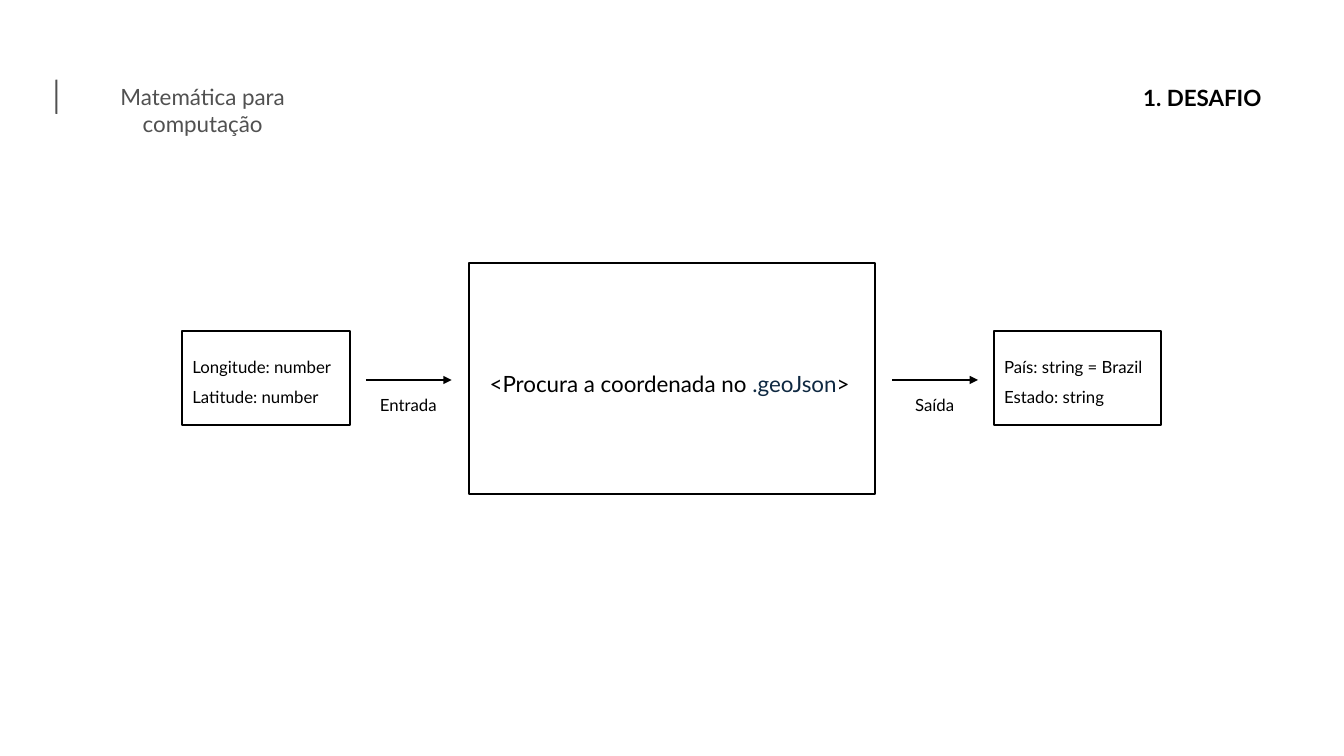
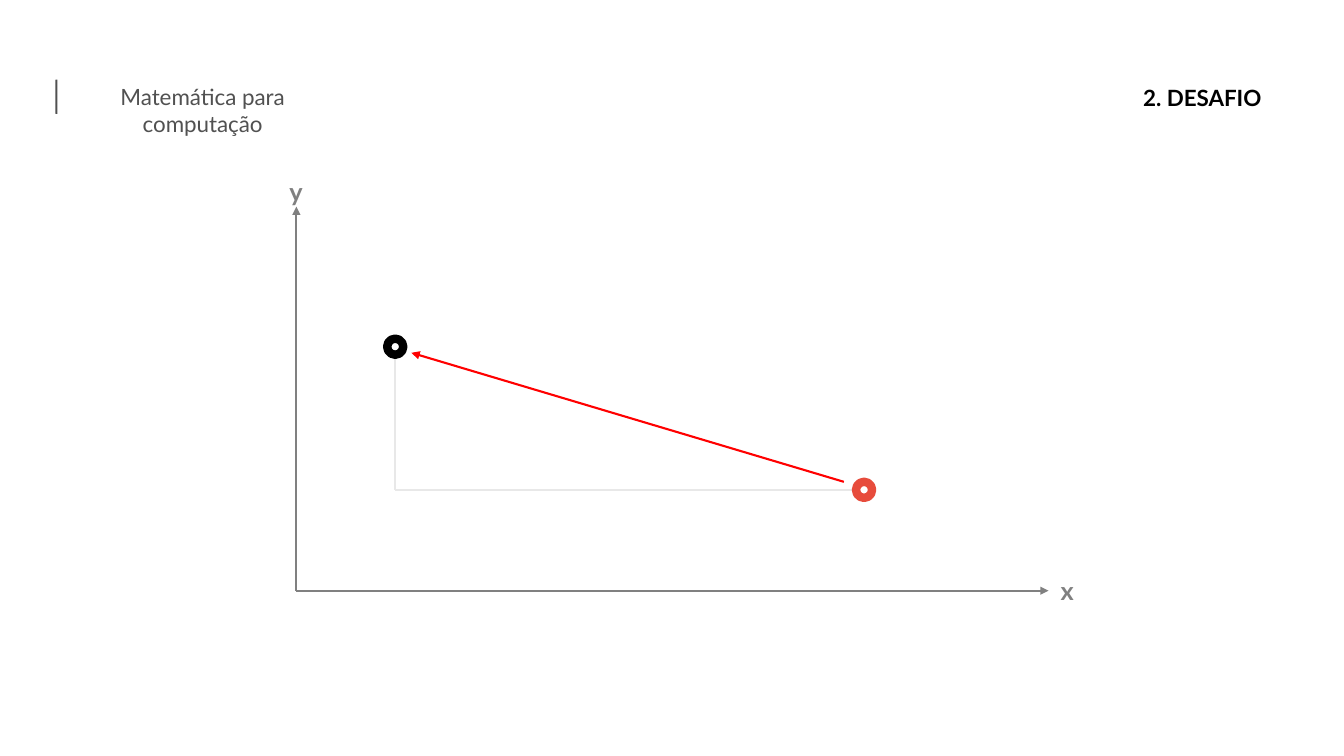
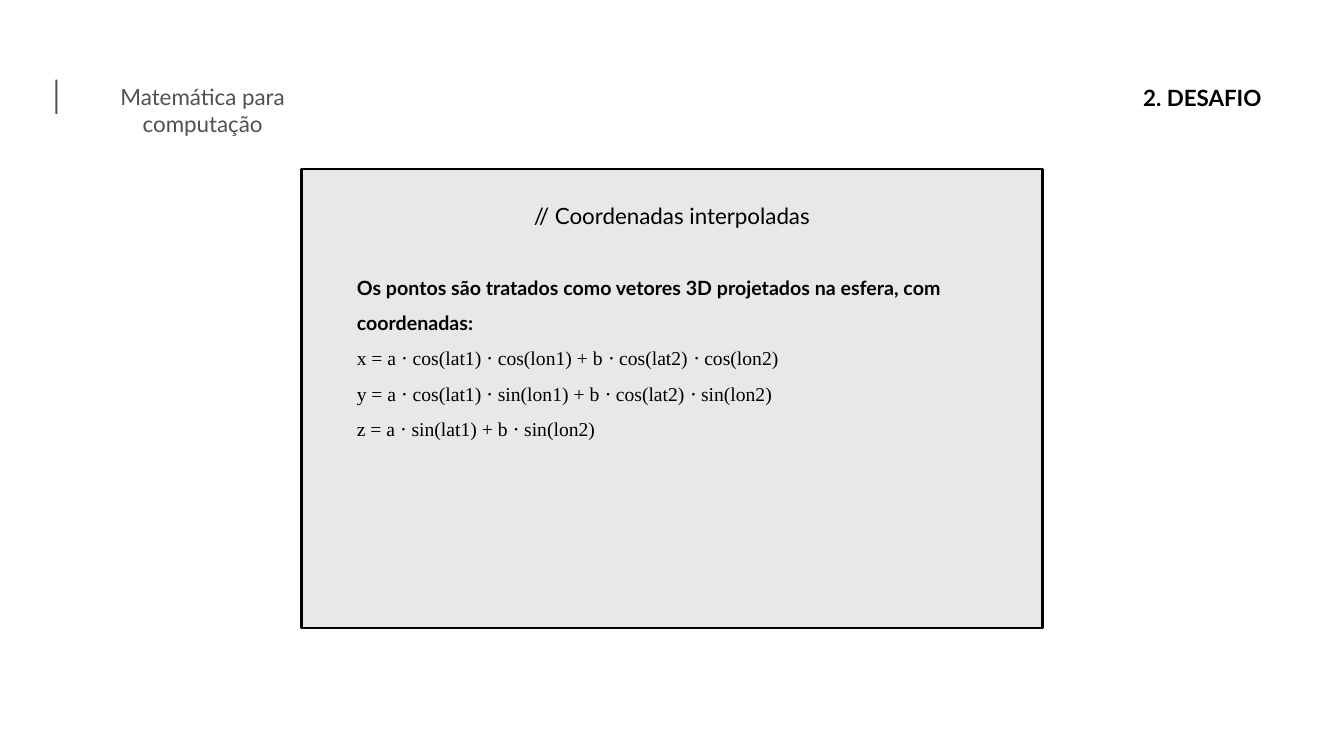
from lxml import etree
from pptx import Presentation
from pptx.dml.color import RGBColor
from pptx.enum.shapes import MSO_CONNECTOR, MSO_SHAPE
from pptx.enum.text import MSO_AUTO_SIZE, PP_ALIGN as ALIGN
from pptx.oxml.ns import qn
from pptx.util import Inches, Pt

BLACK = RGBColor(0x00, 0x00, 0x00)
WHITE = RGBColor(0xFF, 0xFF, 0xFF)
DARK_GRAY = RGBColor(0x51, 0x51, 0x51)
AXIS_GRAY = RGBColor(0x80, 0x80, 0x80)
LIGHT_GRAY = RGBColor(0xE8, 0xE8, 0xE8)
NAVY = RGBColor(0x0E, 0x28, 0x41)
RED = RGBColor(0xFF, 0x00, 0x00)
CORAL = RGBColor(0xE7, 0x4C, 0x3C)

SANS, SERIF = "Lato", "Times New Roman"
LINE_WIDTH = 1.5
COURSE = "Matemática para computação"


class Deck:
    def __init__(self):
        self.prs = Presentation()
        self.prs.slide_width = Inches(13.33)
        self.prs.slide_height = Inches(7.5)
        self.s = None

    def slide(self, title):
        """Start a slide with the shared header."""
        self.s = self.prs.slides.add_slide(self.prs.slide_layouts[6])
        self.text(0.55, 0.78, 2.92, 0.37, [COURSE], 16, DARK_GRAY,
                  align=ALIGN.CENTER, spacing=1)
        self.shape(0.55, 0.79, 0.02, 0.34, MSO_SHAPE.ROUNDED_RECTANGLE,
                   fill=DARK_GRAY)
        self.text(8.01, 0.65, 4.6, 0.47, [title], 16, bold=True,
                  align=ALIGN.RIGHT)

    def text(self, x, y, w, h, paragraphs, size, color=BLACK, font=SANS,
             bold=False, align=ALIGN.LEFT, spacing=1.5):
        """Each paragraph is a string or a list of (text, style) runs;
        a style may replace color, font and bold."""
        box = self.s.shapes.add_textbox(Inches(x), Inches(y), Inches(w), Inches(h))
        tf = box.text_frame
        tf.word_wrap = True
        tf.auto_size = MSO_AUTO_SIZE.SHAPE_TO_FIT_TEXT
        for i, runs in enumerate(paragraphs):
            p = tf.add_paragraph() if i else tf.paragraphs[0]
            p.alignment = align
            p.line_spacing = spacing
            for content, style in [(runs, {})] if isinstance(runs, str) else runs:
                r = p.add_run()
                r.text = content
                r.font.size = Pt(size)
                r.font.name = style.get("font", font)
                r.font.bold = style.get("bold", bold)
                r.font.color.rgb = style.get("color", color)

    def shape(self, x, y, w, h, kind=MSO_SHAPE.RECTANGLE, fill=None, line=None,
              width=LINE_WIDTH):
        sp = self.s.shapes.add_shape(kind, Inches(x), Inches(y), Inches(w), Inches(h))
        sp.shadow.inherit = False
        if fill is None:
            sp.fill.background()
        else:
            sp.fill.solid()
            sp.fill.fore_color.rgb = fill
        if line is None:
            sp.line.fill.background()
        else:
            sp.line.color.rgb = line
            sp.line.width = Pt(width)

    def line(self, start, end, color=BLACK, arrow=True):
        c = self.s.shapes.add_connector(MSO_CONNECTOR.STRAIGHT,
                                        *map(Inches, start + end))
        c.line.color.rgb = color
        c.line.width = Pt(LINE_WIDTH)
        if arrow:
            etree.SubElement(c.line._get_or_add_ln(), qn("a:tailEnd"), type="triangle")
        etree.SubElement(c._element.spPr, qn("a:effectLst"))

    def point(self, center, color):
        """Ring marker centred on a point."""
        d = 0.16
        x, y = center
        self.shape(x - d / 2, y - d / 2, d, d, MSO_SHAPE.OVAL, WHITE, color, 6)


def flow_slide(deck):
    deck.slide("1. DESAFIO")
    deck.shape(4.65, 2.61, 4.03, 2.29, line=BLACK)
    deck.text(4.65, 3.49, 4.04, 0.47,
              [[("<Procura a coordenada no ", {}), (".geoJson", {"color": NAVY}),
                ("> ", {})]], 16, align=ALIGN.CENTER)
    sides = [
        (1.81, 3.46, "Entrada", ["Longitude: number", "Latitude: number"]),
        (9.86, 8.68, "Saída", ["País: string = Brazil", "Estado: string"]),
    ]
    for box_x, label_x, label, fields in sides:
        deck.shape(box_x, 3.28, 1.66, 0.94, line=BLACK)
        deck.text(box_x, 3.39, 1.66, 0.68, fields, 12)
        deck.line((label_x + 0.17, 3.77), (label_x + 1.02, 3.77))
        deck.text(label_x, 3.77, 1.18, 0.37, [label], 12, align=ALIGN.CENTER)


def vector_slide(deck):
    deck.slide("2. DESAFIO")
    origin, y_tip, x_tip = (2.94, 5.86), (2.94, 2.05), (10.4, 5.86)
    start, end = (8.57, 4.86), (3.92, 3.44)
    corner = (end[0], start[1])
    for tip in (y_tip, x_tip):
        deck.line(origin, tip, AXIS_GRAY)
    for name, x, y in (("y", 2.75, 1.55), ("x", 10.4, 5.51)):
        deck.text(x, y, 0.37, 0.51, [name], 18, AXIS_GRAY, bold=True,
                  align=ALIGN.CENTER)
    deck.line((8.37, 4.78), (4.08, 3.5), RED)
    for point, color in ((start, CORAL), (end, BLACK)):
        deck.line(corner, point, LIGHT_GRAY, arrow=False)
        deck.point(point, color)


def formula_slide(deck):
    deck.slide("2. DESAFIO")
    deck.shape(2.99, 1.68, 7.35, 4.55, fill=LIGHT_GRAY, line=BLACK)
    deck.text(4.01, 1.82, 5.31, 0.47, ["// Coordenadas interpoladas"], 16,
              align=ALIGN.CENTER)
    intro = ("Os pontos são tratados como vetores 3D projetados na esfera, "
             "com coordenadas:")
    formulas = [
        "x = a ⋅ cos(lat1) ⋅ cos(lon1) + b ⋅ cos(lat2) ⋅ cos(lon2)",
        "y = a ⋅ cos(lat1) ⋅ sin(lon1) + b ⋅ cos(lat2) ⋅ sin(lon2)",
        "z = a ⋅ sin(lat1) + b ⋅ sin(lon2)",
    ]
    deck.text(3.44, 2.57, 6.45, 1.96,
              [[(intro, {"font": SANS, "bold": True})], *formulas], 14, font=SERIF)


def main():
    deck = Deck()
    flow_slide(deck)
    vector_slide(deck)
    formula_slide(deck)
    deck.prs.save("out.pptx")


if __name__ == "__main__":
    main()
